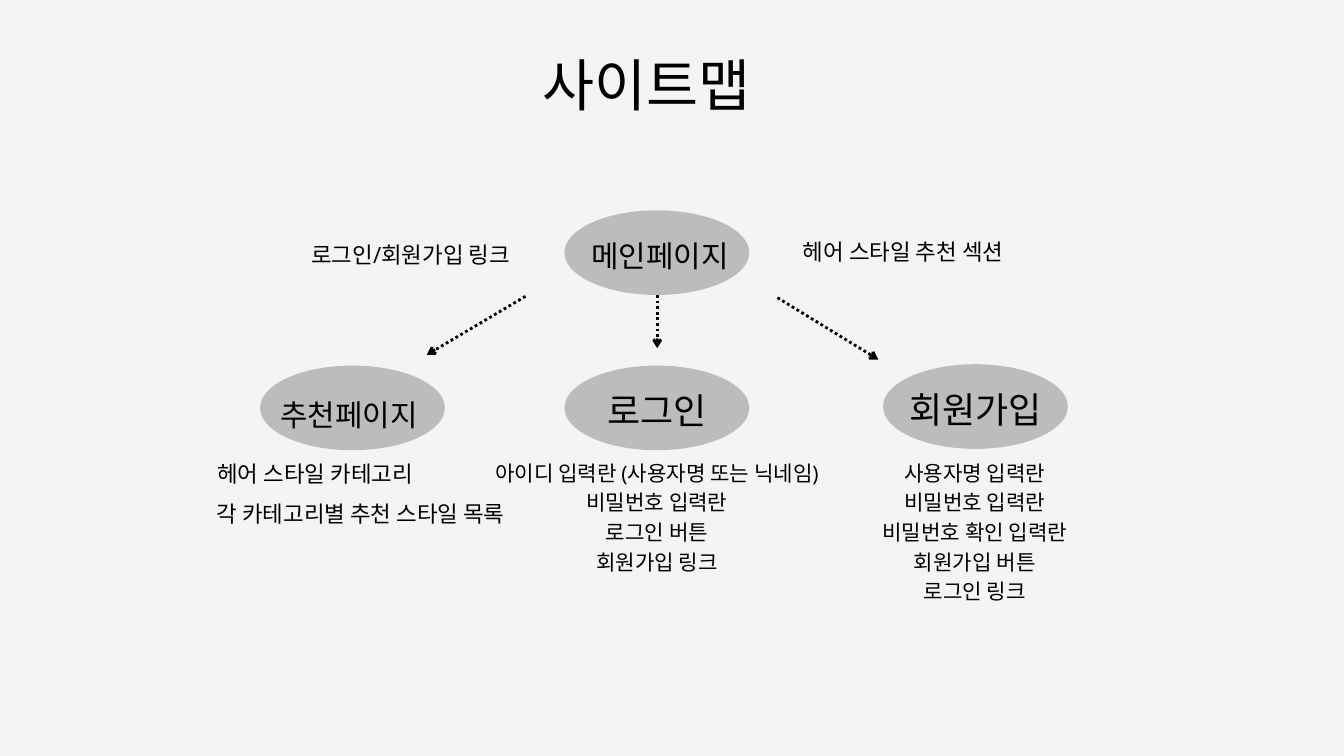
from lxml import etree
from pptx import Presentation
from pptx.dml.color import RGBColor
from pptx.enum.dml import MSO_LINE
from pptx.enum.shapes import MSO_CONNECTOR, MSO_SHAPE
from pptx.enum.text import MSO_AUTO_SIZE, PP_ALIGN
from pptx.oxml.ns import qn
from pptx.util import Inches, Pt

BACKGROUND = RGBColor(0xF4, 0xF4, 0xF4)
NODE_GRAY = RGBColor(0xBC, 0xBC, 0xBC)
BLACK = RGBColor(0, 0, 0)

LEFT, CENTER = PP_ALIGN.LEFT, PP_ALIGN.CENTER
ELLIPSE = MSO_SHAPE.OVAL
STRAIGHT = MSO_CONNECTOR.STRAIGHT
DOTTED = MSO_LINE.ROUND_DOT
FIT_SHAPE = MSO_AUTO_SIZE.SHAPE_TO_FIT_TEXT

CALIBRI, OPEN_SANS = "Calibri", "Open Sans"
NODE_WIDTH, NODE_HEIGHT = 2.75, 1.26


class SiteMap:
    def __init__(self, slide):
        self.slide = slide
        fill = slide.background.fill
        fill.solid()
        fill.fore_color.rgb = BACKGROUND

    def node(self, left, top):
        ellipse = self.slide.shapes.add_shape(
            ELLIPSE, Inches(left), Inches(top),
            Inches(NODE_WIDTH), Inches(NODE_HEIGHT))
        ellipse.shadow.inherit = False
        ellipse.fill.solid()
        ellipse.fill.fore_color.rgb = NODE_GRAY
        ellipse.line.fill.background()

    def text(self, lines, box, size, spacing, align=CENTER,
             font=CALIBRI, first_font=None):
        frame = self.slide.shapes.add_textbox(*map(Inches, box)).text_frame
        frame.margin_left = frame.margin_right = 0
        frame.margin_top = frame.margin_bottom = 0
        frame.word_wrap = True
        frame.auto_size = FIT_SHAPE
        frame.text = "\n".join(lines)
        for paragraph in frame.paragraphs:
            paragraph.alignment = align
            paragraph.line_spacing = Pt(spacing)
            paragraph.font.name = font
            paragraph.font.size = Pt(size)
            paragraph.font.color.rgb = BLACK
        if first_font:
            frame.paragraphs[0].font.name = first_font

    def arrow(self, start, end):
        connector = self.slide.shapes.add_connector(
            STRAIGHT, *map(Inches, start + end))
        connector.line.color.rgb = BLACK
        connector.line.width = Pt(3)
        connector.line.dash_style = DOTTED
        etree.SubElement(connector.line._get_or_add_ln(), qn("a:tailEnd"), type="arrow")
        etree.SubElement(connector._element.spPr, qn("a:effectLst"))


def main():
    prs = Presentation()
    prs.slide_width, prs.slide_height = Inches(20), Inches(11.25)
    site_map = SiteMap(prs.slides.add_slide(prs.slide_layouts[6]))

    # Title
    site_map.text(["사이트맵"], (8.07, 0.57, 3.5, 1.12), 60.6, 84.9, LEFT)

    # Pages: node position, label, label box, label size
    pages = [
        ((8.4, 3.13), "메인페이지", (8.59, 3.32, 2.46, 0.71), 32),
        ((3.87, 5.44), "추천페이지", (3.92, 5.68, 2.55, 0.71), 32),
        ((8.4, 5.44), "로그인", (8.5, 5.68, 2.55, 0.71), 38.6),
        ((13.14, 5.42), "회원가입", (13.24, 5.66, 2.55, 0.71), 38.6),
    ]
    for position, label, box, size in pages:
        site_map.node(*position)
        site_map.text([label], box, size, 54)

    # Arrows from the main page to its subpages
    site_map.arrow((9.78, 4.39), (9.78, 5.18))
    site_map.arrow((7.82, 4.41), (6.35, 5.28))
    site_map.arrow((11.57, 4.43), (13.07, 5.35))

    # Main page and recommendation page contents
    notes = [
        ("헤어 스타일 추천 섹션", (11.79, 3.48, 3.3, 0.43), CALIBRI),
        ("로그인/회원가입 링크", (4.46, 3.52, 3.3, 0.43), OPEN_SANS),
        ("헤어 스타일 카테고리", (3.04, 6.78, 3.3, 0.89), CALIBRI),
        ("각 카테고리별 추천 스타일 목록", (3.12, 7.37, 4.49, 0.43), CALIBRI),
    ]
    for note, box, font in notes:
        site_map.text([note], box, 24, 33.6, font=font)

    # Login and sign-up form contents
    login_fields = ["아이디 입력란 (사용자명 또는 닉네임)", "비밀번호 입력란",
                    "로그인 버튼", "회원가입 링크"]
    signup_fields = ["사용자명 입력란", "비밀번호 입력란", "비밀번호 확인 입력란",
                     "회원가입 버튼", "로그인 링크"]
    site_map.text(login_fields, (6.47, 6.78, 6.61, 1.71), 22.7, 31.8,
                  first_font=OPEN_SANS)
    site_map.text(signup_fields, (11.2, 6.78, 6.61, 2.15), 22.7, 31.8)

    prs.save("out.pptx")


if __name__ == "__main__":
    main()
